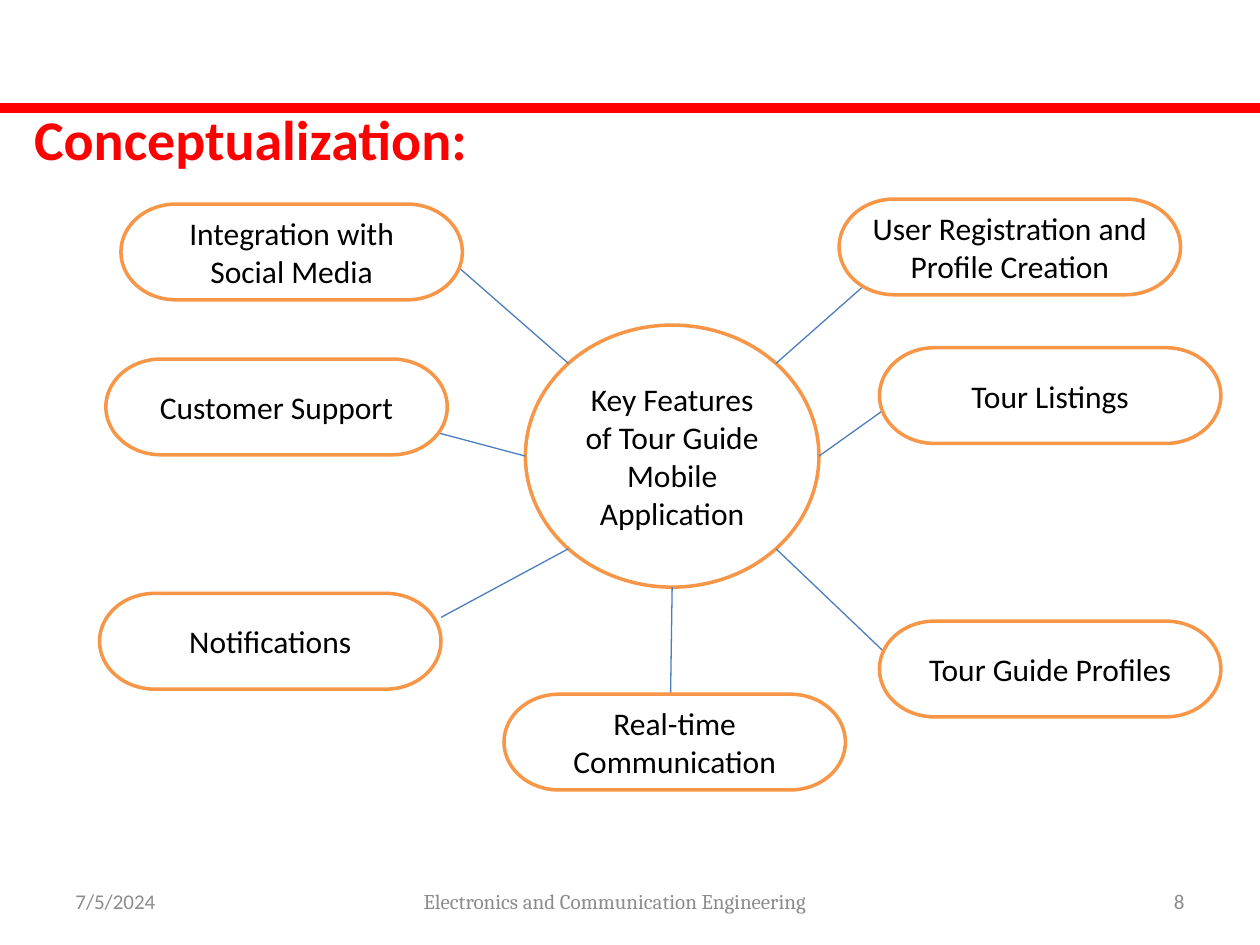
from math import cos, radians, sin

from pptx import Presentation
from pptx.dml.color import RGBColor
from pptx.enum.shapes import MSO_CONNECTOR, MSO_SHAPE
from pptx.enum.text import MSO_ANCHOR, MSO_AUTO_SIZE, PP_ALIGN
from pptx.oxml.ns import qn
from pptx.util import Inches, Pt

LEFT, CENTER, RIGHT = PP_ALIGN.LEFT, PP_ALIGN.CENTER, PP_ALIGN.RIGHT
TOP, MIDDLE = MSO_ANCHOR.TOP, MSO_ANCHOR.MIDDLE
RECTANGLE, OVAL = MSO_SHAPE.RECTANGLE, MSO_SHAPE.OVAL
TERMINATOR = MSO_SHAPE.FLOWCHART_TERMINATOR
STRAIGHT = MSO_CONNECTOR.STRAIGHT
NO_AUTOFIT = MSO_AUTO_SIZE.NONE

TITLE_ONLY_LAYOUT = 5
RED, ORANGE, BLUE = "FF0000", "F79646", "4B7EBC"
WHITE, BLACK, GRAY = "FFFFFF", "000000", "8C8C8C"

HUB_LEFT, HUB_TOP, HUB_WIDTH, HUB_HEIGHT = 4.17, 2.58, 2.33, 2.08
FEATURE_WIDTH, FEATURE_HEIGHT = 2.71, 0.76

# Text, left, top, angle on the hub (clockwise from the right), spoke end
FEATURES = [
    ("Integration with Social Media", 0.96, 1.62, 225, (3.5, 2)),
    ("User Registration and Profile Creation", 6.66, 1.58, 315, (7.16, 2)),
    ("Customer Support", 0.84, 2.85, 180, (3.08, 3.33)),
    ("Tour Listings", 6.98, 2.76, 0, (7.58, 2.85)),
    ("Notifications", 0.79, 4.71, 135, (3.5, 4.9)),
    ("Tour Guide Profiles", 6.98, 4.93, 45, (7.16, 5.31)),
    ("Real-time Communication", 4, 5.51, 90, (5.32, 5.67)),
]

FOOTERS = [
    ("7/5/2024", 0.5, 0.92, LEFT, "Calibri"),
    ("Electronics and Communication Engineering", 2.42, 4.92, CENTER, "Cambria"),
    ("8", 9.08, 0.42, RIGHT, "Calibri"),
]


def color(hex_value):
    return RGBColor.from_string(hex_value)


def write_text(shape, text, size, hex_value, align, anchor=MIDDLE,
               font_name="Calibri", bold=False):
    frame = shape.text_frame
    frame.word_wrap = True
    frame.auto_size = NO_AUTOFIT
    frame.vertical_anchor = anchor
    paragraph = frame.paragraphs[0]
    paragraph.alignment = align
    run = paragraph.add_run()
    run.text = text
    run.font.name = font_name
    run.font.size = Pt(size)
    run.font.bold = bold
    run.font.color.rgb = color(hex_value)


def add_outlined_shape(slide, kind, left, top, width, height, fill, line):
    shape = slide.shapes.add_shape(
        kind, Inches(left), Inches(top), Inches(width), Inches(height))
    shape.shadow.inherit = False
    shape.fill.solid()
    shape.fill.fore_color.rgb = color(fill)
    shape.line.color.rgb = color(line)
    shape.line.width = Pt(2)
    return shape


def add_title(slide, text):
    title = slide.shapes.title
    title.left, title.top = Inches(0.17), Inches(0.78)
    title.width, title.height = Inches(5.02), Inches(0.64)
    write_text(title, text, 32, RED, LEFT, anchor=TOP, bold=True)


def add_footer(slide, text, left, width, align, font_name):
    box = slide.shapes.add_textbox(
        Inches(left), Inches(6.95), Inches(width), Inches(0.4))
    write_text(box, text, 12, GRAY, align, font_name=font_name)


def hub_point(angle):
    """Return the point on the hub's outline at the given angle."""
    x = HUB_LEFT + HUB_WIDTH / 2 * (1 + cos(radians(angle)))
    y = HUB_TOP + HUB_HEIGHT / 2 * (1 + sin(radians(angle)))
    return x, y


def add_spoke(slide, start, end):
    spoke = slide.shapes.add_connector(
        STRAIGHT, *(Inches(value) for value in (*start, *end)))
    spoke.line.color.rgb = color(BLUE)
    spoke.line.width = Pt(0.75)
    properties = spoke._element.spPr
    properties.append(properties.makeelement(qn("a:effectLst"), {}))


def add_node(slide, kind, text, left, top, width, height):
    node = add_outlined_shape(
        slide, kind, left, top, width, height, WHITE, ORANGE)
    write_text(node, text, 18, BLACK, CENTER)


def main():
    presentation = Presentation()
    presentation.slide_width = Inches(10)
    presentation.slide_height = Inches(7.5)
    layout = presentation.slide_layouts[TITLE_ONLY_LAYOUT]
    slide = presentation.slides.add_slide(layout)

    add_outlined_shape(slide, RECTANGLE, 0, 0.83, 10, 0.05, RED, RED)
    add_title(slide, "Conceptualization:")
    for footer in FOOTERS:
        add_footer(slide, *footer)

    add_node(slide, OVAL, "Key Features of Tour Guide Mobile Application",
             HUB_LEFT, HUB_TOP, HUB_WIDTH, HUB_HEIGHT)
    for _, _, _, angle, end in FEATURES:
        add_spoke(slide, hub_point(angle), end)
    for text, left, top, _, _ in FEATURES:
        add_node(slide, TERMINATOR, text, left, top,
                 FEATURE_WIDTH, FEATURE_HEIGHT)

    presentation.save("out.pptx")


if __name__ == "__main__":
    main()
